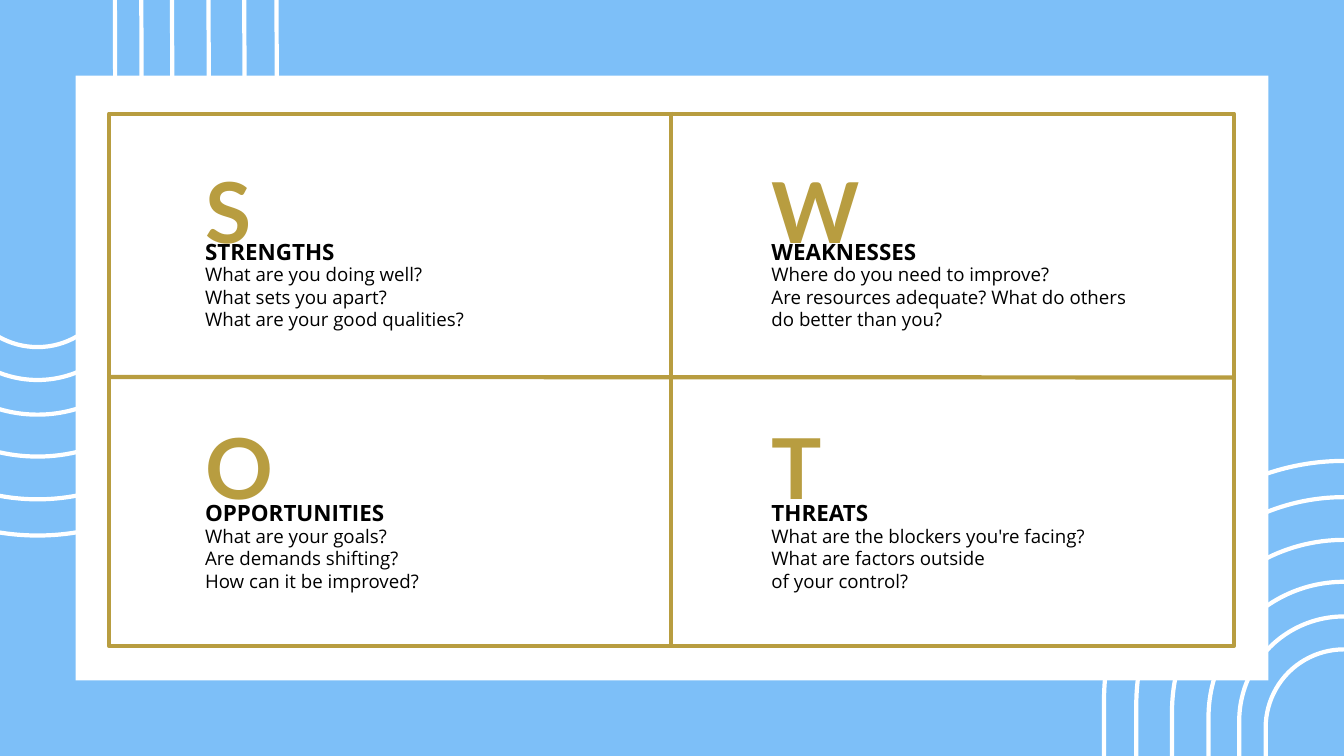
"""Build a SWOT analysis slide framed by concentric arches."""
from dataclasses import dataclass

from lxml import etree
from pptx import Presentation
from pptx.dml.color import RGBColor
from pptx.enum.shapes import MSO_CONNECTOR, MSO_SHAPE
from pptx.enum.text import MSO_AUTO_SIZE
from pptx.oxml.ns import qn
from pptx.util import Cm, Pt

ARCH = MSO_SHAPE.ROUND_2_SAME_RECTANGLE
RECTANGLE = MSO_SHAPE.RECTANGLE
STRAIGHT = MSO_CONNECTOR.STRAIGHT
GROW = MSO_AUTO_SIZE.SHAPE_TO_FIT_TEXT

SKY, WHITE, GOLD, BLACK = "7DBFF8", "FFFFFF", "B89D40", "000000"
STROKE = Pt(4.5)
ARCH_SIZES = [(18.14, 29.49), (15.7, 26.75), (13, 23.52),
              (10.24, 20.35), (7.92, 17.73), (5.92, 15.24)]
COLUMN_LEFTS = (7.75, 29.16)
LETTER_TOPS = (4.14, 13.82)
HEADING_TOPS = (8.48, 18.36)
QUESTION_OFFSET = 1.47


@dataclass(frozen=True)
class ArchSet:
    center_x: float
    center_y: float
    rotation: float


@dataclass(frozen=True)
class Quadrant:
    column: int
    row: int
    heading: str
    heading_width: float
    questions: tuple[str, ...]
    questions_width: float
    questions_height: float = 2.57


@dataclass(frozen=True)
class TextStyle:
    font: str
    size: float
    color: str
    bold: bool = False
    line_spacing: float = 1.0


LETTER = TextStyle("Lato", 90, GOLD, True, 1.5)
HEADING = TextStyle("Open Sans", 24, BLACK, True, 1.5)
QUESTION = TextStyle("Open Sans", 20, BLACK)

ARCH_SETS = [ArchSet(1.4, 5.5, 179.8), ArchSet(50.8, 32.17, 0)]

QUADRANTS = [
    Quadrant(0, 0, "STRENGTHS", 6.3,
             ("What are you doing well?", "What sets you apart?",
              "What are your good qualities?"), 11.73),
    Quadrant(0, 1, "OPPORTUNITIES", 8.86,
             ("What are your goals?", "Are demands shifting?",
              "How can it be improved?"), 9.45),
    Quadrant(1, 0, "WEAKNESSES", 8.89,
             ("Where do you need to improve?",
              "Are resources adequate? What do others",
              "do better than you?"), 14.99, 3.43),
    Quadrant(1, 1, "THREATS", 4.7,
             ("What are the blockers you're facing?",
              "What are factors outside", "of your control?"), 13.46),
]


def rgb(hex_color: str) -> RGBColor:
    """Return the colour for a hex string."""
    return RGBColor.from_string(hex_color)


def add_box(slide, kind, left: float, top: float, width: float, height: float,
            fill: str | None = None, line: str | None = None):
    """Add a preset shape with an optional fill and outline."""
    box = slide.shapes.add_shape(kind, Cm(left), Cm(top), Cm(width), Cm(height))
    box.shadow.inherit = False
    if fill:
        box.fill.solid()
        box.fill.fore_color.rgb = rgb(fill)
    else:
        box.fill.background()
    if line:
        box.line.color.rgb = rgb(line)
        box.line.width = STROKE
    else:
        box.line.fill.background()
    return box


def add_arches(slide, arches: ArchSet) -> None:
    """Draw one set of concentric arches around its center."""
    for width, height in ARCH_SIZES:
        arch = add_box(slide, ARCH, arches.center_x - width / 2,
                       arches.center_y - height / 2, width, height, line=WHITE)
        arch.adjustments[0] = 0.5
        arch.rotation = arches.rotation


def add_divider(slide, x1: float, y1: float, x2: float, y2: float) -> None:
    """Draw a gold line between two quadrants."""
    divider = slide.shapes.add_connector(STRAIGHT, Cm(x1), Cm(y1), Cm(x2), Cm(y2))
    divider.line.color.rgb = rgb(GOLD)
    divider.line.width = STROKE
    etree.SubElement(divider._element.spPr, qn("a:effectLst"))


def add_text(slide, left: float, top: float, width: float, height: float,
             lines: tuple[str, ...], style: TextStyle) -> None:
    """Add a text box without margins, one paragraph per line."""
    box = slide.shapes.add_textbox(Cm(left), Cm(top), Cm(width), Cm(height))
    frame = box.text_frame
    frame.word_wrap = True
    frame.auto_size = GROW
    frame.margin_left = frame.margin_right = 0
    frame.margin_top = frame.margin_bottom = 0
    frame.text = "\n".join(lines)
    for paragraph in frame.paragraphs:
        paragraph.line_spacing = style.line_spacing
        for run in paragraph.runs:
            run.font.name = style.font
            run.font.size = Pt(style.size)
            run.font.bold = style.bold
            run.font.color.rgb = rgb(style.color)


def add_quadrant(slide, quadrant: Quadrant) -> None:
    """Write the heading, questions and initial of one quadrant."""
    left = COLUMN_LEFTS[quadrant.column]
    heading_top = HEADING_TOPS[quadrant.row]
    add_text(slide, left, heading_top, quadrant.heading_width, 1.02,
             (quadrant.heading,), HEADING)
    add_text(slide, left, heading_top + QUESTION_OFFSET, quadrant.questions_width,
             quadrant.questions_height, quadrant.questions, QUESTION)
    add_text(slide, left, LETTER_TOPS[quadrant.row], 1.83, 4.55,
             (quadrant.heading[0],), LETTER)


def main() -> None:
    """Assemble the slide and save it."""
    deck = Presentation()
    deck.slide_width, deck.slide_height = Cm(50.8), Cm(28.58)
    slide = deck.slides.add_slide(deck.slide_layouts[6])
    slide.background.fill.solid()
    slide.background.fill.fore_color.rgb = rgb(SKY)

    for arches in ARCH_SETS:
        add_arches(slide, arches)
    add_box(slide, RECTANGLE, 2.86, 2.86, 45.08, 22.86, fill=WHITE)
    add_box(slide, RECTANGLE, 4.12, 4.3, 42.52, 20.12, line=GOLD)
    for quadrant in QUADRANTS:
        add_quadrant(slide, quadrant)
    add_divider(slide, 25.37, 4.22, 25.37, 24.33)
    add_divider(slide, 46.64, 14.27, 4.12, 14.25)
    deck.save("out.pptx")


if __name__ == "__main__":
    main()
